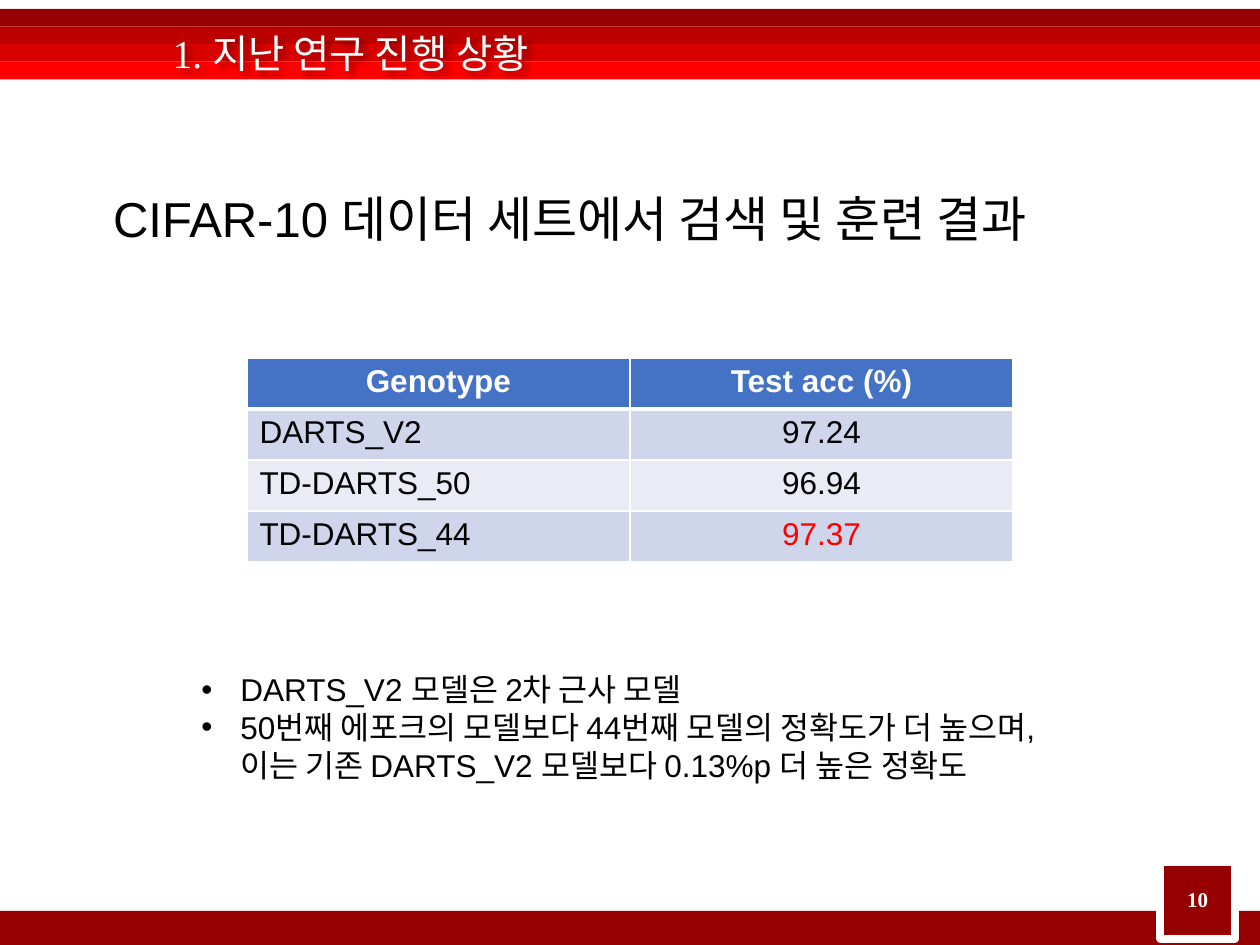
import dataclasses
import typing

import lxml.etree
import pptx
import pptx.dml.color
import pptx.enum.shapes
import pptx.enum.text
import pptx.oxml.ns
import pptx.util

Inches = pptx.util.Inches
Pt = pptx.util.Pt
ALIGN = pptx.enum.text.PP_ALIGN
ANCHOR = pptx.enum.text.MSO_ANCHOR
WHITE, BLACK, RED, DARK_RED = "FFFFFF", "000000", "FF0000", "970000"


@dataclasses.dataclass
class Box:
    left: float
    top: float
    width: float
    height: float

    def lengths(self) -> list:
        return [Inches(value) for value in dataclasses.astuple(self)]


@dataclasses.dataclass
class TextStyle:
    size: float
    color: str = BLACK
    font: str = "Arial"
    bold: bool = False
    align: typing.Any = ALIGN.LEFT


def rgb(value: str) -> pptx.dml.color.RGBColor:
    return pptx.dml.color.RGBColor.from_string(value)


def add_child(parent, tag: str, **attributes: str):
    return lxml.etree.SubElement(parent, pptx.oxml.ns.qn(tag), attributes)


def style_paragraph(paragraph, style: TextStyle) -> None:
    paragraph.alignment = style.align
    font = paragraph.font
    font.name = style.font
    font.size = Pt(style.size)
    font.bold = style.bold
    font.color.rgb = rgb(style.color)


def add_rectangle(slide, box: Box, fill: str, line_width: float = 0) -> None:
    shape = slide.shapes.add_shape(
        pptx.enum.shapes.MSO_SHAPE.RECTANGLE, *box.lengths())
    shape.shadow.inherit = False
    shape.fill.solid()
    shape.fill.fore_color.rgb = rgb(fill)
    if line_width:
        shape.line.color.rgb = rgb(WHITE)
        shape.line.width = Pt(line_width)
    else:
        shape.line.fill.background()


def add_text(slide, box: Box, lines: list[str], style: TextStyle,
             anchor=ANCHOR.TOP, indent: float = 0, bullet: str = ""):
    shape = slide.shapes.add_textbox(*box.lengths())
    frame = shape.text_frame
    frame.word_wrap = True
    frame.vertical_anchor = anchor
    frame.text = "\n".join(lines)
    for paragraph in frame.paragraphs:
        properties = paragraph._p.get_or_add_pPr()
        if indent:
            properties.set("marL", str(Inches(indent)))
        if bullet:
            properties.set("indent", str(-Inches(indent)))
            add_child(properties, "a:buFont", typeface="Arial")
            add_child(properties, "a:buChar", char=bullet)
        style_paragraph(paragraph, style)
    return shape


def add_text_shadow(shape) -> None:
    effects = add_child(shape._element.spPr, "a:effectLst")
    shadow = add_child(effects, "a:outerShdw", blurRad=str(Pt(4)),
                       dist=str(Pt(3)), dir="2700000", algn="tl")
    color = add_child(shadow, "a:srgbClr", val=BLACK)
    add_child(color, "a:alpha", val="40000")


def set_borders(cell, widths: dict[str, float]) -> None:
    properties = cell._tc.get_or_add_tcPr()
    for side, width in widths.items():
        line = add_child(properties, f"a:ln{side}", w=str(Pt(width)))
        add_child(add_child(line, "a:solidFill"), "a:srgbClr", val=WHITE)


def add_results_table(slide, box: Box, rows: list[tuple[str, str]]) -> None:
    table = slide.shapes.add_table(
        len(rows), len(rows[0]), *box.lengths()).table
    table.first_row = table.horz_banding = False
    for row_index, row in enumerate(rows):
        header = row_index == 0
        fill = "4472C4" if header else ("E9EBF5", "CFD5EA")[row_index % 2]
        for column_index, text in enumerate(row):
            cell = table.cell(row_index, column_index)
            cell.text = text
            centred = header or column_index == 1
            color = WHITE if header else RED if text == "97.37" else BLACK
            style_paragraph(cell.text_frame.paragraphs[0], TextStyle(
                18, color, bold=header,
                align=ALIGN.CENTER if centred else ALIGN.LEFT))
            set_borders(cell, {"L": 1, "R": 1,
                               "T": 3 if row_index == 1 else 1,
                               "B": 3 if header else 1})
            cell.fill.solid()
            cell.fill.fore_color.rgb = rgb(fill)


def add_header(slide) -> None:
    band_height = 0.14
    for index, color in enumerate((DARK_RED, "BC0000", "DB0000", RED)):
        add_rectangle(
            slide, Box(0, 0.07 + index * band_height, 10, band_height), color)
    title = add_text(
        slide, Box(0.72, 0.08, 7.08, 0.56), ["1. 지난 연구 진행 상황"],
        TextStyle(22.5, WHITE, "Times New Roman"), ANCHOR.MIDDLE, indent=0.57)
    frame = title.text_frame
    frame.margin_left = frame.margin_right = Inches(0.08)
    frame.margin_top = frame.margin_bottom = Inches(0.04)
    frame.paragraphs[0].line_spacing = 1.3
    add_text_shadow(title)


def main() -> None:
    presentation = pptx.Presentation()
    presentation.slide_width = Inches(10)
    presentation.slide_height = Inches(7.5)
    slide = presentation.slides.add_slide(presentation.slide_layouts[6])

    add_header(slide)
    add_rectangle(slide, Box(0, 7.23, 10, 0.28), DARK_RED)
    add_results_table(slide, Box(1.96, 2.84, 6.08, 1.62), [
        ("Genotype", "Test acc (%)"),
        ("DARTS_V2", "97.24"),
        ("TD-DARTS_50", "96.94"),
        ("TD-DARTS_44", "97.37"),
    ])
    add_text(slide, Box(0.8, 1.45, 8.67, 0.57),
             ["CIFAR-10 데이터 세트에서 검색 및 훈련 결과"], TextStyle(28))
    add_text(slide, Box(1.5, 5.27, 7.27, 1.31), [
        "DARTS_V2 모델은 2차 근사 모델",
        "50번째 에포크의 모델보다 44번째 모델의 정확도가 더 높으며, "
        "이는 기존 DARTS_V2 모델보다 0.13%p 더 높은 정확도",
    ], TextStyle(18), indent=0.31, bullet="•")
    add_rectangle(slide, Box(9.21, 6.84, 0.59, 0.61), DARK_RED, 4.5)
    add_text(slide, Box(9.29, 6.99, 0.43, 0.3), ["10"],
             TextStyle(12, WHITE, "Times New Roman", True, ALIGN.CENTER),
             ANCHOR.MIDDLE)
    presentation.save("out.pptx")


if __name__ == "__main__":
    main()
